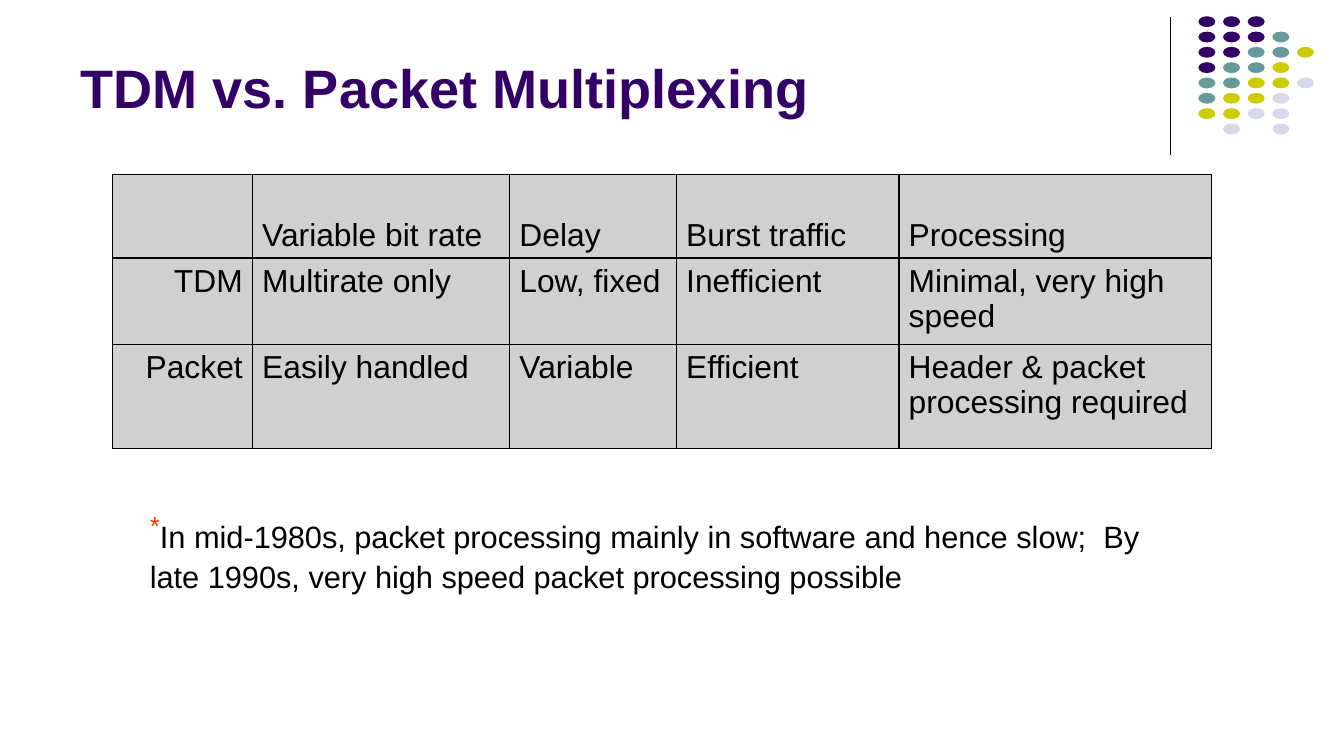
from dataclasses import dataclass

from lxml import etree
from pptx import Presentation
from pptx import util as u
from pptx.dml.color import RGBColor
from pptx.enum import shapes, text
from pptx.oxml import ns

Pt = u.Pt


@dataclass(frozen=True)
class Theme:
    font: str = "Arial"
    ink: str = "000000"
    purple: str = "330066"
    teal: str = "669999"
    olive: str = "CCCC00"
    lilac: str = "D8D8EC"
    star: str = "FF3300"
    cell: str = "D0D0D0"
    title_size: float = 29
    table_size: float = 17
    note_size: float = 16.5
    star_size: float = 24
    rule: float = 0.75


@dataclass(frozen=True)
class Box:
    left: float
    top: float
    width: float
    height: float

    def emu(self) -> tuple:
        return Pt(self.left), Pt(self.top), Pt(self.width), Pt(self.height)


@dataclass(frozen=True)
class Dot:
    col: int
    row: int
    color: str


T = Theme()


def add_text(p, words: str, *, size: float, color: str = T.ink,
             bold: bool = False, baseline: int = 0, align=None) -> None:
    """Add one formatted run to a paragraph."""
    r = p.add_run()
    r.text = words
    r.font.name, r.font.size, r.font.bold = T.font, Pt(size), bold
    r.font.color.rgb = RGBColor.from_string(color)
    if baseline:
        r.font._element.set("baseline", str(baseline * 1000))
    if align is not None:
        p.alignment = align


def add_box(s, box: Box, anchor=text.MSO_ANCHOR.TOP):
    """Add a wrapping text box and return its first paragraph."""
    tf = s.shapes.add_textbox(*box.emu()).text_frame
    tf.word_wrap = True
    tf.vertical_anchor = anchor
    return tf.paragraphs[0]


def draw_dot(group, dot: Dot) -> None:
    box = Box(642 + 13.2 * dot.col, 8.7 + 8.21 * dot.row, 9.1, 5.8)
    sp = group.shapes.add_shape(shapes.MSO_SHAPE.OVAL, *box.emu())
    sp.shadow.inherit = False
    sp.fill.solid()
    sp.fill.fore_color.rgb = RGBColor.from_string(dot.color)
    sp.line.fill.background()


def add_borders(cell) -> None:
    tc_pr = cell._tc.get_or_add_tcPr()
    for i, side in enumerate(("lnL", "lnR", "lnT", "lnB")):
        ln = etree.Element(ns.qn(f"a:{side}"), w=str(Pt(T.rule)))
        fill = etree.SubElement(ln, ns.qn("a:solidFill"))
        etree.SubElement(fill, ns.qn("a:srgbClr"), val=T.ink)
        tc_pr.insert(i, ln)


def draw_cell(cell, words: str, row: int, col: int) -> None:
    cell.fill.solid()
    cell.fill.fore_color.rgb = RGBColor.from_string(T.cell)
    cell.margin_left = cell.margin_right = Pt(5.2)
    cell.margin_top = cell.margin_bottom = Pt(2.7)
    cell.vertical_anchor = text.MSO_ANCHOR.TOP if row else text.MSO_ANCHOR.BOTTOM
    p = cell.text_frame.paragraphs[0]
    p.font.size = Pt(T.table_size)
    if words:
        align = text.PP_ALIGN.LEFT if col else text.PP_ALIGN.RIGHT
        add_text(p, words, size=T.table_size, align=align)
    add_borders(cell)


prs = Presentation()
prs.slide_width, prs.slide_height = Pt(720), Pt(405)
s = prs.slides.add_slide(prs.slide_layouts[6])

# Vertical rule beside the dots
rule = s.shapes.add_connector(shapes.MSO_CONNECTOR.STRAIGHT,
                              Pt(627.1), Pt(8.9), Pt(627.1), Pt(83))
rule.line.width = Pt(T.rule)
rule.line.color.rgb = RGBColor.from_string(T.ink)
etree.SubElement(rule._element.spPr, ns.qn("a:effectLst"))

# Dot pattern, one letter per dot
DOT_COLORS = {"P": T.purple, "T": T.teal, "O": T.olive, "L": T.lilac}
DOT_ROWS = ("PPP", "PPPT", "PPTTO", "PTTO", "TTOOL", "TOOL", "OOLL", " L L")
dots = s.shapes.add_group_shape()
for row, letters in enumerate(DOT_ROWS):
    for col, letter in enumerate(letters):
        if letter in DOT_COLORS:
            draw_dot(dots, Dot(col, row, DOT_COLORS[letter]))

# Title
p = add_box(s, Box(36, 7.2, 594, 60.5), text.MSO_ANCHOR.BOTTOM)
add_text(p, "TDM vs. Packet Multiplexing", size=T.title_size,
         color=T.purple, bold=True)

# Comparison table
ROWS = (
    ("", "Variable bit rate", "Delay", "Burst traffic", "Processing"),
    ("TDM", "Multirate only", "Low, fixed", "Inefficient",
     "Minimal, very high speed"),
    ("Packet", "Easily handled", "Variable", "Efficient",
     "Header & packet processing required"),
)
COL_WIDTHS = (75, 137.8, 89.4, 119.2, 167.3)
ROW_HEIGHTS = (44.8, 44.8, 55.9)
frame = Box(60.3, 93.5, sum(COL_WIDTHS), sum(ROW_HEIGHTS))
table = s.shapes.add_table(len(ROWS), len(COL_WIDTHS), *frame.emu()).table
table.first_row = table.horz_banding = False
for column, width in zip(table.columns, COL_WIDTHS):
    column.width = Pt(width)
for row, (words, height) in enumerate(zip(ROWS, ROW_HEIGHTS)):
    table.rows[row].height = Pt(height)
    for col, word in enumerate(words):
        draw_cell(table.cell(row, col), word, row, col)

# Footnote
p = add_box(s, Box(73.2, 266.4, 556.8, 47.5))
add_text(p, "*", size=T.star_size, color=T.star, baseline=30)
add_text(p, "In mid-1980s, packet processing mainly in software and hence slow;  "
            "By late 1990s, very high speed packet processing possible",
         size=T.note_size)

prs.save("out.pptx")
